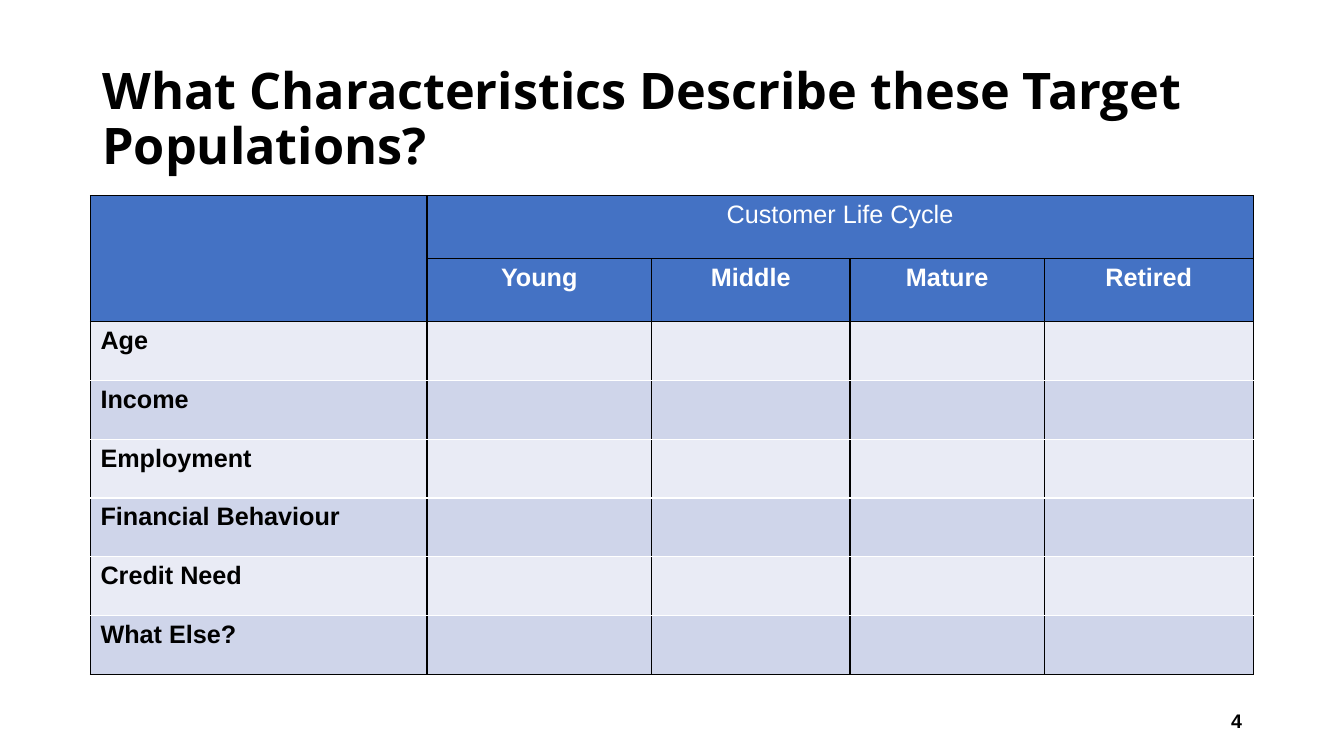
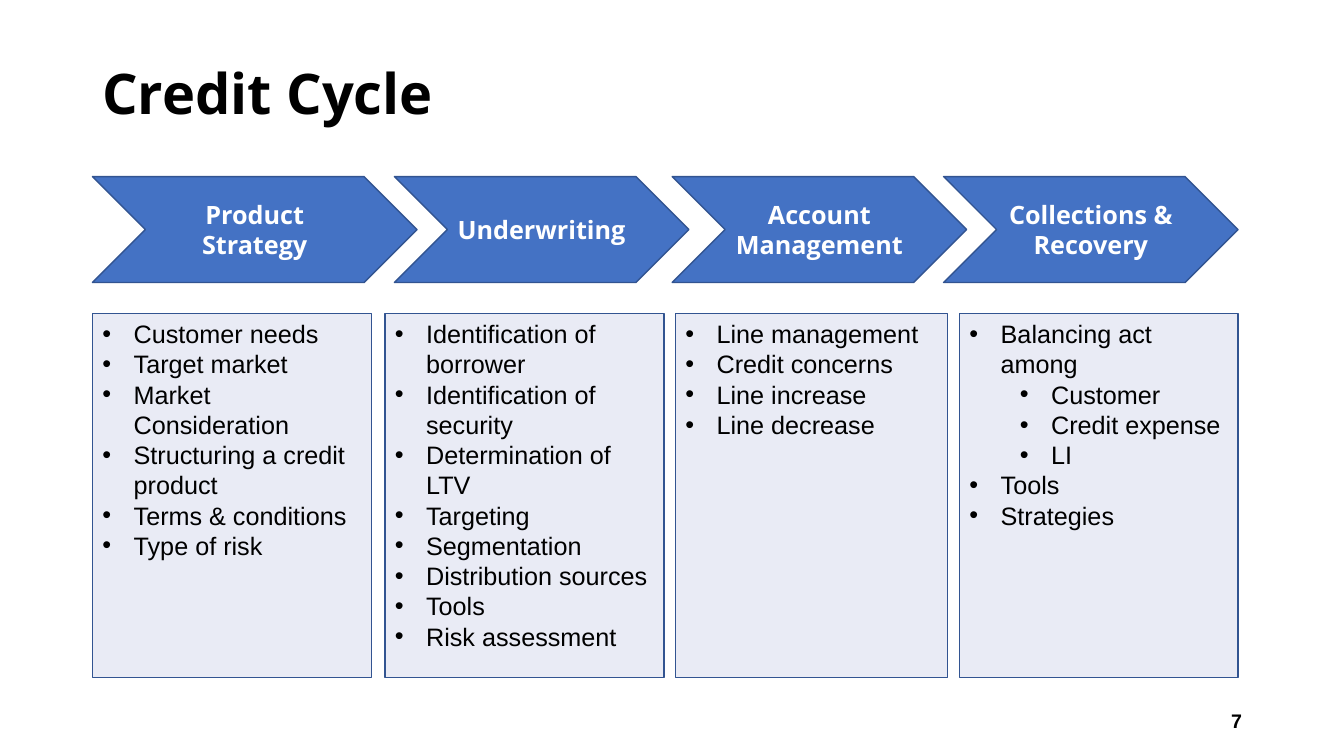
from dataclasses import dataclass

import pptx
import pptx.dml.color
import pptx.enum.shapes
import pptx.enum.text
import pptx.oxml
import pptx.oxml.ns
import pptx.util
from pptx.util import Cm

Align = pptx.enum.text.PP_ALIGN
Anchor = pptx.enum.text.MSO_ANCHOR
Shape = pptx.enum.shapes.MSO_SHAPE
NAMESPACE = pptx.oxml.ns.nsdecls("a")


@dataclass(frozen=True)
class Theme:
    heading_font: str = "Open Sans"
    body_font: str = "Arial"
    black: str = "000000"
    white: str = "FFFFFF"
    blue: str = "4472C4"
    outline: str = "325491"
    pale: str = "E9EBF5"
    band: str = "CFD5EA"
    title_size: int = 40
    long_title_size: int = 36
    body_size: int = 18
    number_size: int = 14


def rgb(color):
    return pptx.dml.color.RGBColor.from_string(color)


class DeckBuilder:
    def __init__(self, theme):
        self.theme = theme
        self.deck = pptx.Presentation()
        self.deck.slide_width = Cm(33.87)
        self.deck.slide_height = Cm(19.05)
        self.page = None

    def add_page(self, title, number, title_size):
        self.page = self.deck.slides.add_slide(self.deck.slide_layouts[6])
        theme = self.theme
        para = self.add_text(title, 2.33, 1.55, 29.21, 2.1, Anchor.TOP)
        para.line_spacing = 0.9
        self.style(para, title_size, theme.black, True, font=theme.heading_font)
        para = self.add_text(number, 23.93, 17.65, 7.62, 1.01, Anchor.MIDDLE)
        self.style(para, theme.number_size, theme.black, True, Align.RIGHT)

    def add_text(self, text, left, top, width, height, anchor):
        box = self.page.shapes.add_textbox(Cm(left), Cm(top), Cm(width), Cm(height))
        box.text_frame.word_wrap = True
        box.text_frame.vertical_anchor = anchor
        box.text_frame.text = text
        return box.text_frame.paragraphs[0]

    def style(self, para, size, color, bold=False, align=Align.LEFT, font=None):
        para.alignment = align
        para.font.name = font or self.theme.body_font
        para.font.size = pptx.util.Pt(size)
        para.font.bold = bold
        para.font.color.rgb = rgb(color)

    def add_panel(self, kind, left, top, width, height, fill, anchor):
        panel = self.page.shapes.add_shape(kind, Cm(left), Cm(top), Cm(width), Cm(height))
        panel.shadow.inherit = False
        panel.fill.solid()
        panel.fill.fore_color.rgb = rgb(fill)
        panel.line.color.rgb = rgb(self.theme.outline)
        panel.line.width = pptx.util.Pt(1)
        panel.text_frame.word_wrap = True
        panel.text_frame.vertical_anchor = anchor
        return panel.text_frame

    def add_chevron(self, text, left, width):
        theme = self.theme
        frame = self.add_panel(Shape.CHEVRON, left, 4.45, width, 2.67, theme.blue, Anchor.MIDDLE)
        frame.text = text
        for para in frame.paragraphs:
            self.style(para, theme.body_size, theme.white, True, Align.CENTER, theme.heading_font)

    def add_bullet_box(self, points, left, width):
        theme = self.theme
        frame = self.add_panel(Shape.RECTANGLE, left, 7.9, width, 9.17, theme.pale, Anchor.TOP)
        frame.text = "\n".join(point.lstrip("\t") for point in points)
        for para, point in zip(frame.paragraphs, points):
            para.level = point.count("\t")
            self.add_bullet(para)
            self.style(para, theme.body_size, theme.black)

    def add_bullet(self, para):
        properties = para._p.get_or_add_pPr()
        properties.set("marL", str(Cm(0.79 + 1.27 * para.level)))
        properties.set("indent", str(Cm(-0.79)))
        for tag in ('buFont {} typeface="Arial"', 'buChar {} char="•"'):
            properties.append(pptx.oxml.parse_xml(f"<a:{tag.format(NAMESPACE)}/>"))

    def add_table(self, left, top, widths, heights):
        frame = self.page.shapes.add_table(
            len(heights), len(widths), Cm(left), Cm(top), Cm(sum(widths)), Cm(sum(heights)))
        table = frame.table
        table.first_row = table.horz_banding = False
        for column, width in zip(table.columns, widths):
            column.width = Cm(width)
        for row, height in zip(table.rows, heights):
            row.height = Cm(height)
        return table

    def fill_cell(self, cell, text, fill, color, bold, align, top_edge, bottom_edge):
        black = self.theme.black
        properties = cell._tc.get_or_add_tcPr()
        for side, edge in zip("LRTB", (black, black, top_edge, bottom_edge)):
            properties.append(pptx.oxml.parse_xml(
                f'<a:ln{side} {NAMESPACE} w="12700"><a:solidFill>'
                f'<a:srgbClr val="{edge}"/></a:solidFill></a:ln{side}>'))
        cell.fill.solid()
        cell.fill.fore_color.rgb = rgb(fill)
        cell.text = text
        self.style(cell.text_frame.paragraphs[0], self.theme.body_size, color, bold, align)

    def add_life_cycle_table(self, group, stages, traits):
        theme = self.theme
        header_rows = 2
        table = self.add_table(
            2.28, 4.93, [8.48, 5.66, 5, 4.9, 5.26],
            [1.59] * header_rows + [1.48] * len(traits))
        blanks = [""] * len(stages)
        rows = [["", group, *blanks[1:]], ["", *stages]]
        rows += [[trait, *blanks] for trait in traits]
        inner_edges = range(header_rows + 1, len(rows))
        edges = [theme.white if edge in inner_edges else theme.black
                 for edge in range(len(rows) + 1)]
        for row, texts in enumerate(rows):
            if row < header_rows:
                fill, color, align = theme.blue, theme.white, Align.CENTER
            else:
                fill = (theme.pale, theme.band)[row % 2]
                color, align = theme.black, Align.LEFT
            for column, text in enumerate(texts):
                self.fill_cell(table.cell(row, column), text, fill, color, row > 0,
                               align, edges[row], edges[row + 1])
        table.cell(0, 0).merge(table.cell(1, 0))
        table.cell(0, 1).merge(table.cell(0, len(stages)))


def main():
    theme = Theme()
    builder = DeckBuilder(theme)

    builder.add_page("What Characteristics Describe these Target Populations?", "4",
                     theme.long_title_size)
    builder.add_life_cycle_table(
        "Customer Life Cycle",
        ["Young", "Middle", "Mature", "Retired"],
        ["Age", "Income", "Employment", "Financial Behaviour", "Credit Need", "What Else?"])

    builder.add_page("Credit Cycle", "7", theme.title_size)
    chevrons = [
        ("Product\nStrategy", 2.33, 8.18),
        ("Underwriting", 9.94, 7.42),
        ("Account Management", 16.94, 7.42),
        ("Collections & Recovery", 23.78, 7.42),
    ]
    bullet_boxes = [
        (["Customer needs", "Target market", "Market Consideration",
          "Structuring a credit product", "Terms & conditions", "Type of risk"], 2.33, 7.04),
        (["Identification of borrower", "Identification of security",
          "Determination of LTV", "Targeting", "Segmentation", "Distribution sources",
          "Tools", "Risk assessment"], 9.7, 7.04),
        (["Line management", "Credit concerns", "Line increase", "Line decrease"], 17.02, 6.86),
        (["Balancing act among", "\tCustomer", "\tCredit expense", "\tLI",
          "Tools", "Strategies"], 24.18, 7.02),
    ]
    for chevron in chevrons:
        builder.add_chevron(*chevron)
    for bullet_box in bullet_boxes:
        builder.add_bullet_box(*bullet_box)

    builder.deck.save("out.pptx")


if __name__ == "__main__":
    main()
